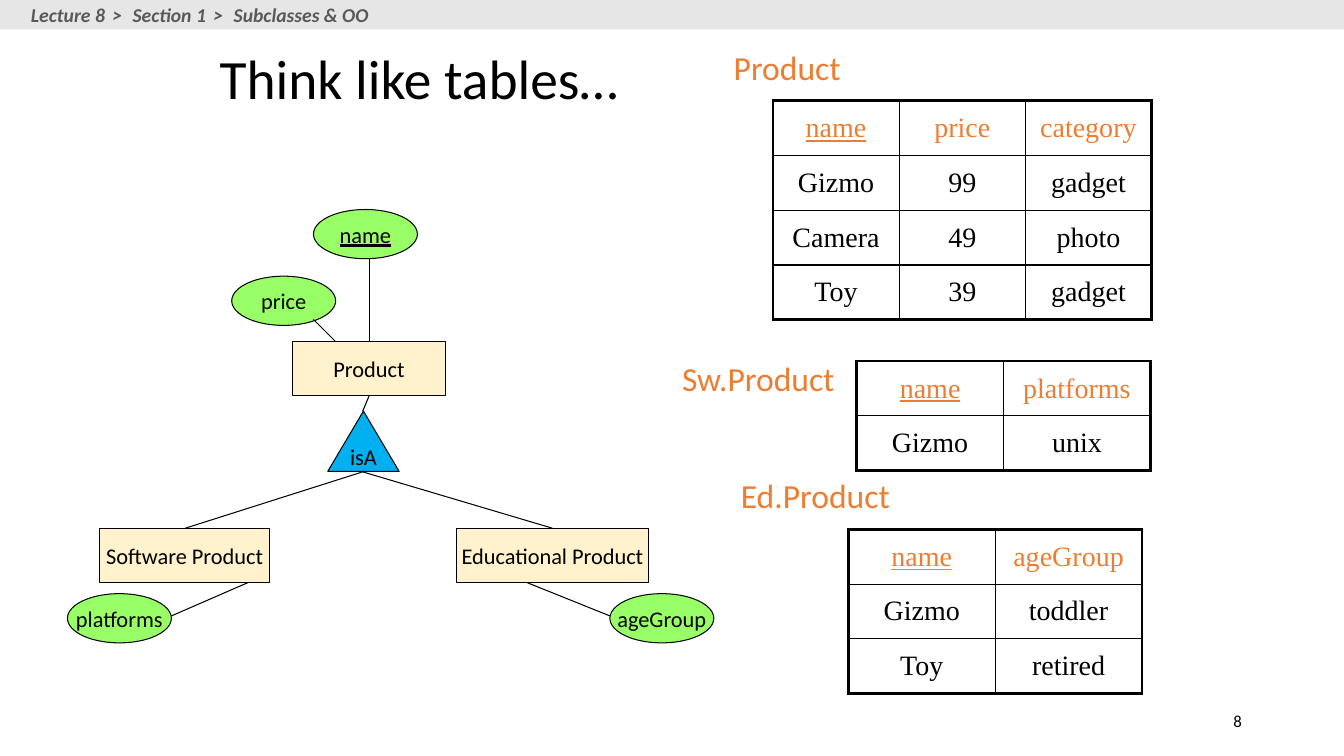
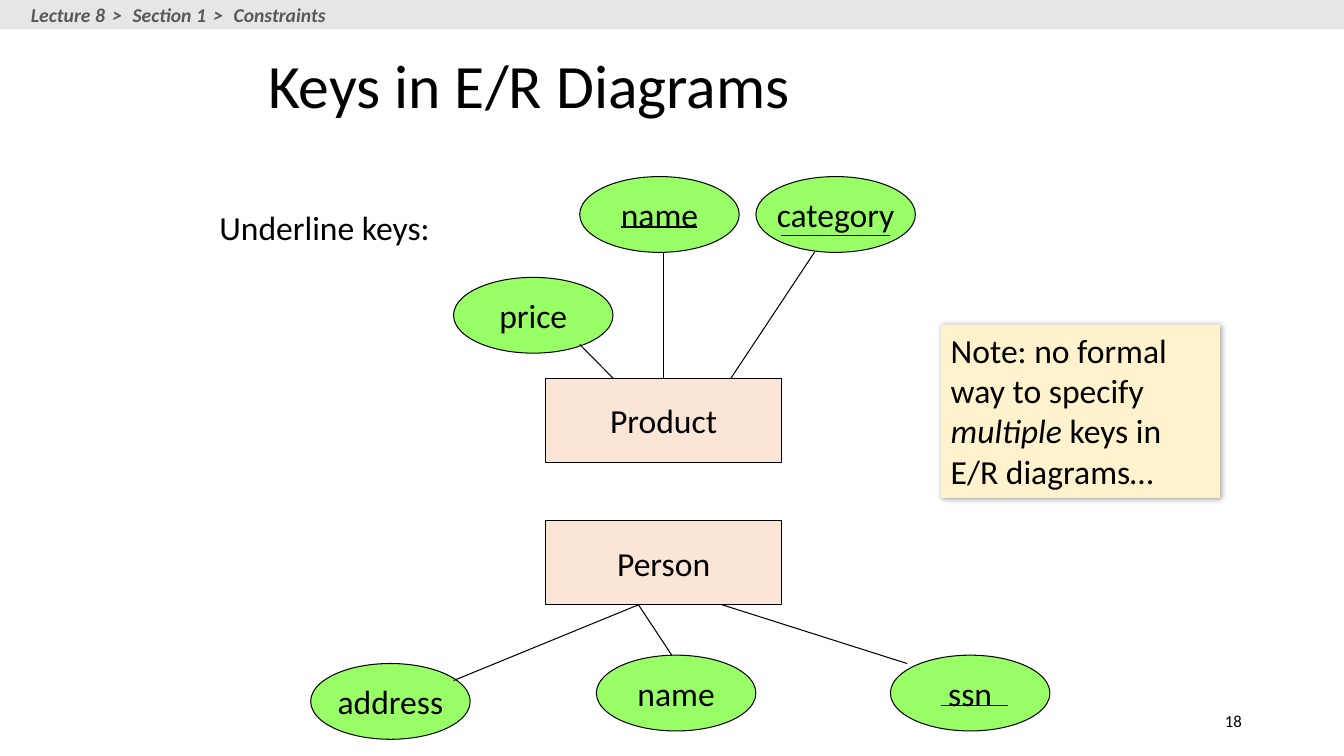
"""Build two lecture slides on E/R subclasses and keys."""
from lxml import etree
from pptx import Presentation
from pptx import util as u
from pptx.dml import color
from pptx.enum import shapes, text
from pptx.oxml import ns

COLOURS = {
    "ink": "000000", "accent": "ED7D31", "crumb": "595959", "band": "E7E6E6",
    "attribute": "99FF66", "entity": "FFF2CC", "peach": "FBE5D6", "isa": "00B0F0",
}
RECT = shapes.MSO_SHAPE.RECTANGLE
OVAL = shapes.MSO_SHAPE.OVAL
TRIANGLE = shapes.MSO_SHAPE.ISOSCELES_TRIANGLE
LEFT, CENTER, RIGHT = text.PP_ALIGN.LEFT, text.PP_ALIGN.CENTER, text.PP_ALIGN.RIGHT
TOP, MIDDLE = text.MSO_ANCHOR.TOP, text.MSO_ANCHOR.MIDDLE


def rgb(name):
    return color.RGBColor.from_string(COLOURS[name])


def child(parent, tag, **attributes):
    return etree.SubElement(parent, ns.qn(tag), attributes)


class Deck:
    def __init__(self, width, height):
        self.prs = Presentation()
        self.prs.slide_width, self.prs.slide_height = u.Cm(width), u.Cm(height)
        self.width = width

    def new_slide(self, topic, number):
        self.slide = self.prs.slides.add_slide(self.prs.slide_layouts[5])
        self.label(number, 23.93, 17.65, 7.62, 1.02, 12, align=RIGHT, anchor=MIDDLE)
        self.shape(RECT, "band", 0, 0, self.width, 0.74, outlined=False)
        crumbs = self.label("Lecture 8", 0.53, -0.05, 9.12, 0.86, 14, "crumb")
        for part in ("Section 1", topic):
            separator = crumbs.add_run()
            separator.text = " > "
            separator.font._element.set("spc", "210")
            crumbs.add_run().text = part
        crumbs.font.bold = crumbs.font.italic = True

    def style(self, paragraph, size, ink="ink", align=LEFT, face="Calibri"):
        paragraph.alignment = align
        font = paragraph.font
        font.name, font.size, font.color.rgb = face, u.Pt(size), rgb(ink)

    def title(self, words, left, top, width, height, size, inset=0.13):
        title = self.slide.shapes.title
        title.left, title.top, title.width, title.height = map(
            u.Cm, (left, top, width, height))
        frame = title.text_frame
        frame.text = words
        frame.auto_size = text.MSO_AUTO_SIZE.NONE
        frame.vertical_anchor, frame.margin_top = MIDDLE, u.Cm(inset)
        self.style(frame.paragraphs[0], size)
        frame.paragraphs[0].line_spacing = 0.9

    def label(self, words, left, top, width, height, size=24, ink="ink",
              align=LEFT, anchor=TOP):
        box = self.slide.shapes.add_textbox(*map(u.Cm, (left, top, width, height)))
        frame = box.text_frame
        frame.word_wrap = align == RIGHT
        frame.vertical_anchor = anchor
        frame.text = words
        self.style(frame.paragraphs[0], size, ink, align)
        return frame.paragraphs[0]

    def shape(self, kind, fill, left, top, width, height, words="", size=16,
              underline=False, outlined=True):
        shape = self.slide.shapes.add_shape(kind, *map(u.Cm, (left, top, width, height)))
        shape.shadow.inherit = False
        shape.fill.solid()
        shape.fill.fore_color.rgb = rgb(fill)
        if outlined:
            shape.line.color.rgb, shape.line.width = rgb("ink"), u.Pt(0.75)
        else:
            shape.line.fill.background()
        if words:
            frame = shape.text_frame
            frame.text = words
            frame.word_wrap, frame.vertical_anchor = False, MIDDLE
            self.style(frame.paragraphs[0], size, align=CENTER)
            if underline:
                frame.paragraphs[0].font.underline = True
        return shape

    def note(self, pieces, left, top, width, height):
        note = self.shape(RECT, "entity", left, top, width, height, outlined=False)
        effects = note._element.spPr.find(ns.qn("a:effectLst"))
        shadow = child(effects, "a:outerShdw", blurRad=str(u.Pt(4)), dist=str(u.Pt(1)),
                       dir="2700000", algn="tl", rotWithShape="0")
        child(child(shadow, "a:srgbClr", val=COLOURS["ink"]), "a:alpha", val="40000")
        frame = note.text_frame
        frame.word_wrap, frame.vertical_anchor = True, TOP
        paragraph = frame.paragraphs[0]
        self.style(paragraph, 24)
        for words, italic in pieces:
            run = paragraph.add_run()
            run.text = words
            if italic:
                run.font.italic = True

    def lines(self, *ends):
        for points in ends:
            line = self.slide.shapes.add_connector(
                shapes.MSO_CONNECTOR.STRAIGHT, *map(u.Cm, points))
            line.line.color.rgb, line.line.width = rgb("ink"), u.Pt(0.75)
            child(line._element.spPr, "a:effectLst")

    def table(self, rows, left, top, column, row_height=1.38):
        last_row, last_column = len(rows) - 1, len(rows[0]) - 1
        table = self.slide.shapes.add_table(
            len(rows), len(rows[0]), u.Cm(left), u.Cm(top),
            u.Cm(column * len(rows[0])), u.Cm(row_height * len(rows))).table
        table.first_row = table.horz_banding = False
        for r, row in enumerate(rows):
            table.rows[r].height = u.Cm(row_height)
            for c, words in enumerate(row):
                cell = table.cell(r, c)
                cell.text, cell.vertical_anchor = words, MIDDLE
                paragraph = cell.text_frame.paragraphs[0]
                self.style(paragraph, 20, "ink" if r else "accent", CENTER, "Times New Roman")
                paragraph.space_before = u.Pt(4)
                if r == c == 0:
                    paragraph.font.underline = True
                self.borders(cell, {"L": c == 0, "R": c == last_column,
                                    "T": r == 0, "B": r == last_row})
                cell.fill.background()

    def borders(self, cell, outer_sides):
        properties = cell._tc.get_or_add_tcPr()
        for side, outer in outer_sides.items():
            border = child(properties, "a:ln" + side, w=str(u.Pt(2.25 if outer else 1)))
            child(child(border, "a:solidFill"), "a:srgbClr", val=COLOURS["ink"])


def subclass_tables(deck):
    deck.new_slide("Subclasses & OO", "8")
    deck.title("Think like tables…", 5.28, 0.43, 13.34, 2.74, 39.6, inset=0.65)
    for words, left, top, width in (("Product", 7.37, 8.61, 3.86),
                                    ("Educational Product", 11.51, 13.31, 4.83),
                                    ("Software Product", 2.51, 13.31, 4.29)):
        deck.shape(RECT, "entity", left, top, width, 1.37, words)
    for words, left, top in (("name", 7.9, 5.28), ("price", 5.84, 6.96),
                             ("ageGroup", 15.37, 14.96), ("platforms", 1.7, 14.96)):
        deck.shape(OVAL, "attribute", left, top, 2.62, 1.24, words,
                   underline=words == "name")
    deck.shape(TRIANGLE, "isa", 8.26, 10.36, 1.8, 1.52, "isA")
    deck.lines((8.46, 8.61, 7.9, 8.05), (9.3, 8.61, 9.3, 6.53),
               (6.25, 14.68, 4.32, 15.52), (13.28, 14.68, 15.37, 15.52),
               (4.67, 13.31, 9.14, 11.89), (13.92, 13.31, 9.14, 11.89),
               (9.14, 10.36, 9.3, 9.98))
    deck.table([("name", "price", "category"), ("Gizmo", "99", "gadget"),
                ("Camera", "49", "photo"), ("Toy", "39", "gadget")], 19.48, 2.54, 3.18)
    deck.table([("name", "platforms"), ("Gizmo", "unix")], 21.59, 9.1, 3.7)
    deck.table([("name", "ageGroup"), ("Gizmo", "toddler"), ("Toy", "retired")],
               21.38, 13.34, 3.7)
    for words, left, top, width in (("Product", 18.24, 1.07, 3.23),
                                    ("Sw.Product", 16.94, 8.89, 4.45),
                                    ("Ed.Product", 18.42, 11.85, 4.29)):
        deck.label(words, left, top, width, 1.27, ink="accent")


def keys(deck):
    deck.new_slide("Constraints", "18")
    deck.title(" Keys in E/R Diagrams", 6.15, 0.64, 21.59, 3.18, 44)
    for words, left, top in (("address", 7.83, 16.72), ("name", 15.03, 16.51),
                             ("ssn", 22.44, 16.51), ("name", 14.61, 4.45),
                             ("category", 19.05, 4.45), ("price", 11.43, 6.99)):
        deck.shape(OVAL, "attribute", left, top, 4.02, 1.91, words, 24)
    for words, top in (("Person", 13.12), ("Product", 9.53)):
        deck.shape(RECT, "peach", 13.76, top, 5.93, 2.12, words, 24)
    deck.lines((15.45, 9.53, 14.61, 8.68), (16.72, 9.53, 16.72, 6.35),
               (18.42, 9.53, 20.53, 6.35), (16.09, 15.24, 11.43, 17.15),
               (16.09, 15.24, 16.93, 16.51), (18.2, 15.24, 22.86, 16.72))
    deck.lines((15.66, 5.72, 17.57, 5.72), (19.69, 5.93, 22.44, 5.93),
               (23.71, 17.78, 25.4, 17.78))
    deck.label("Underline keys:", 5.28, 5.08, 5.87, 1.27)
    deck.note([("Note: no formal way to specify ", False), ("multiple", True),
               (" keys in E/R diagrams…", False)], 23.71, 8.18, 7.04, 4.37)


deck = Deck(33.87, 19.05)
subclass_tables(deck)
keys(deck)
deck.prs.save("out.pptx")
